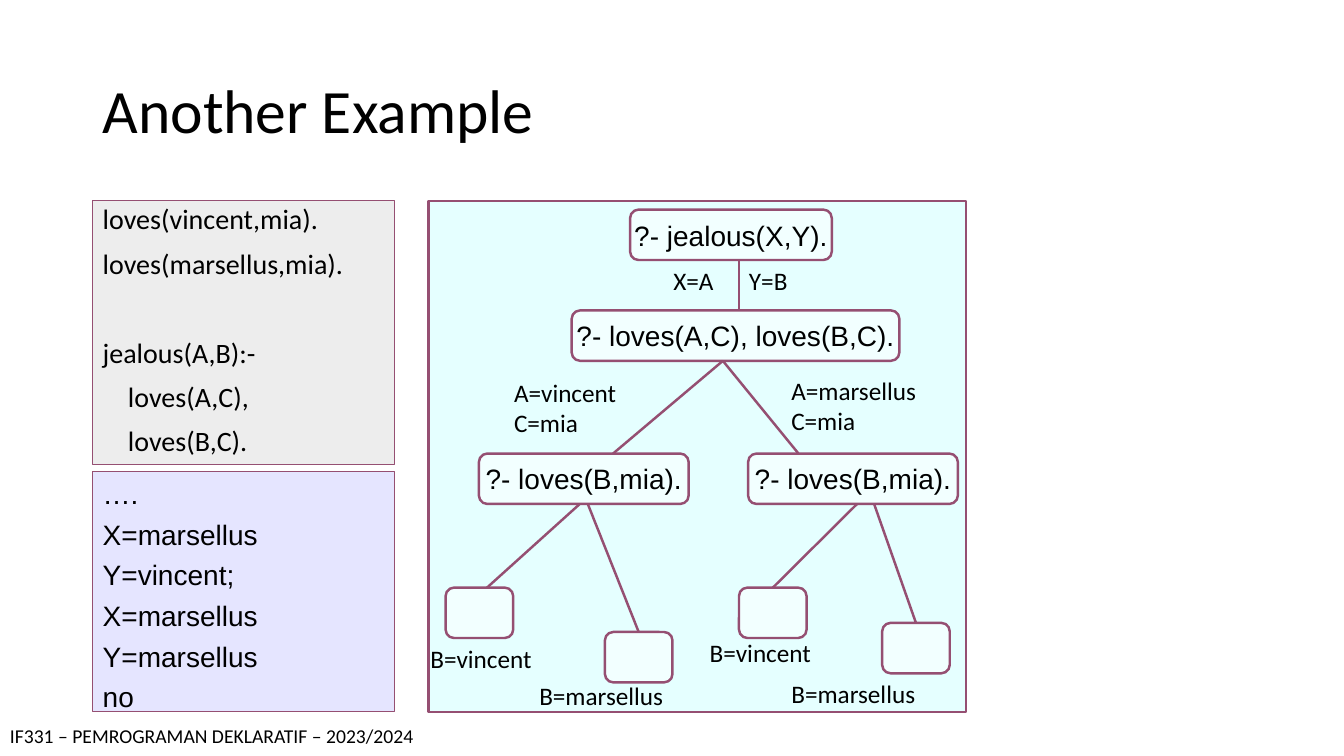
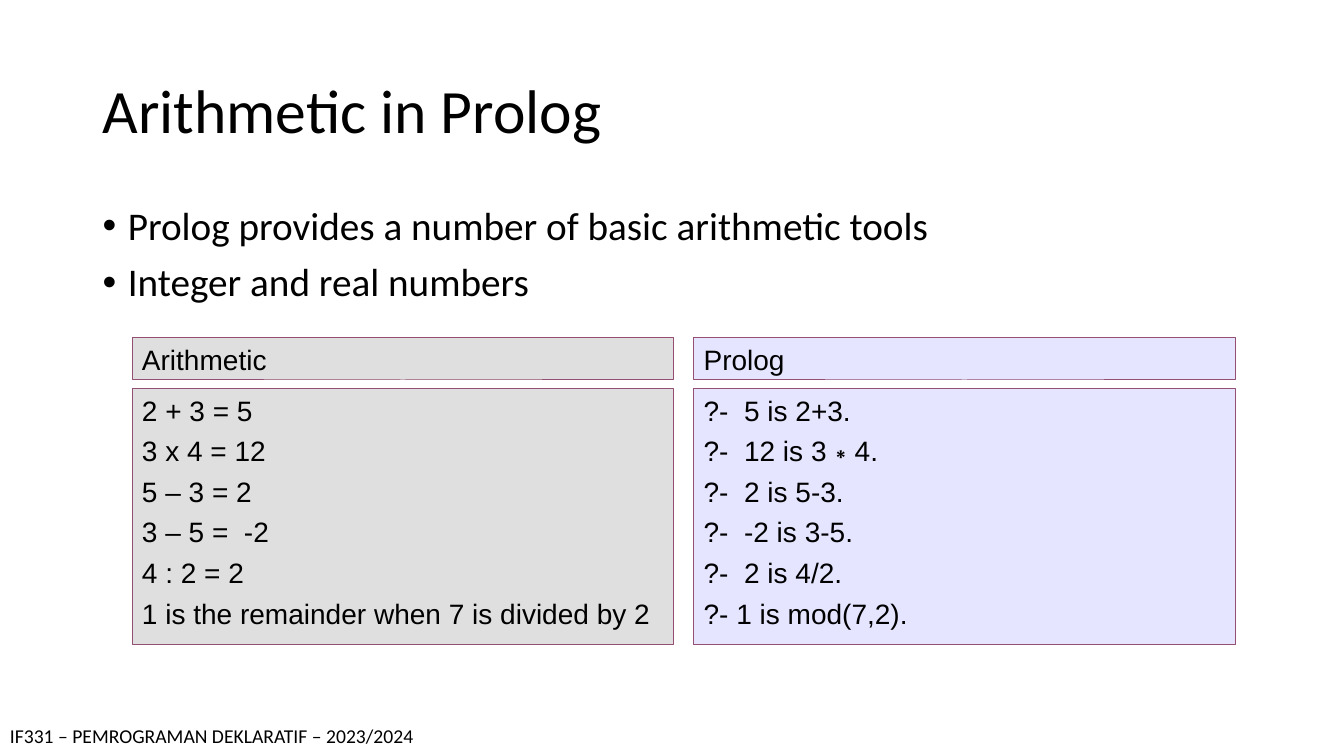
from dataclasses import dataclass
from typing import Optional, Sequence

from lxml.etree import SubElement
from pptx import Presentation
from pptx.dml.color import RGBColor
from pptx.enum.shapes import MSO_CONNECTOR, MSO_SHAPE
from pptx.enum.text import MSO_ANCHOR, PP_ALIGN
from pptx.oxml.ns import qn
from pptx.util import Inches, Pt

# Shared look
BLACK, WHITE = "000000", "FFFFFF"
PLUM, LIGHT_GREY, GREY = "954F72", "DDDDDD", "C0C0C0"
LAVENDER, AQUA = "CCCCFF", "CCFFFF"
FOOTER = "IF331 – PEMROGRAMAN DEKLARATIF – 2023/2024"
BOX_LINE, PANEL_LINE, TREE_LINE = 0.75, 1.5, 1.75
LEFT = 0.92


@dataclass(frozen=True)
class TextStyle:
    font: str
    size: float
    line_spacing: Optional[float] = None
    space_before: float = 0
    hanging: float = 0
    bullet: str = ""
    align: PP_ALIGN = PP_ALIGN.LEFT
    anchor: MSO_ANCHOR = MSO_ANCHOR.TOP
    wrap: bool = True


TITLE = TextStyle("Calibri", 44, line_spacing=0.9, anchor=MSO_ANCHOR.MIDDLE)
BODY = TextStyle("Calibri", 28, line_spacing=0.9, space_before=10, hanging=0.25, bullet="•")
CODE = TextStyle("Calibri", 20, line_spacing=0.9, space_before=10, hanging=0.25)
LISTING = TextStyle("Arial", 20, space_before=5, hanging=0.38)
NODE = TextStyle("Arial", 20, align=PP_ALIGN.CENTER, anchor=MSO_ANCHOR.MIDDLE, wrap=False)
LABEL = TextStyle("Calibri", 18)
FOOTER_TEXT = TextStyle("Calibri", 14)


@dataclass(frozen=True)
class Box:
    left: float
    top: float
    width: float
    height: float

    def lengths(self):
        return [Inches(value) for value in (self.left, self.top, self.width, self.height)]


@dataclass(frozen=True)
class Node:
    box: Box
    goal: str = ""


@dataclass(frozen=True)
class Branch:
    start: tuple[float, float]
    end: tuple[float, float]
    leaf: str = ""  # node whose top centre the branch joins


@dataclass(frozen=True)
class Label:
    box: Box
    lines: tuple[str, ...]


@dataclass(frozen=True)
class Column:
    heading: str
    color: str
    lines: tuple[str, ...]


def rgb(color: str) -> RGBColor:
    return RGBColor.from_string(color)


def write_lines(shape, lines: Sequence[str], style: TextStyle) -> None:
    frame = shape.text_frame
    frame.word_wrap = style.wrap
    frame.vertical_anchor = style.anchor
    for index, line in enumerate(lines):
        paragraph = frame.add_paragraph() if index else frame.paragraphs[0]
        properties = paragraph._p.get_or_add_pPr()
        if style.hanging:
            properties.set("marL", str(Inches(style.hanging)))
            properties.set("indent", str(-Inches(style.hanging)))
        if style.bullet:
            SubElement(properties, qn("a:buFont"), typeface="Arial")
            SubElement(properties, qn("a:buChar"), char=style.bullet)
        paragraph.alignment = style.align
        if style.line_spacing:
            paragraph.line_spacing = style.line_spacing
        if index and style.space_before:
            paragraph.space_before = Pt(style.space_before)
        run = paragraph.add_run()
        run.text = line
        run.font.name = style.font
        run.font.size = Pt(style.size)
        run.font.color.rgb = rgb(BLACK)


def add_text(slide, box: Box, lines: Sequence[str], style: TextStyle):
    shape = slide.shapes.add_textbox(*box.lengths())
    write_lines(shape, lines, style)
    return shape


def add_panel(slide, box: Box, color: str, line_width: float,
              lines: Sequence[str] = (), style: TextStyle = LISTING,
              preset: MSO_SHAPE = MSO_SHAPE.RECTANGLE):
    """Half-transparent outlined shape with optional text."""
    shape = slide.shapes.add_shape(preset, *box.lengths())
    shape.shadow.inherit = False
    shape.fill.solid()
    shape.fill.fore_color.rgb = rgb(color)
    fill_color = shape.fill._xPr.find(qn("a:solidFill"))[0]
    SubElement(fill_color, qn("a:alpha"), val="50000")
    shape.line.color.rgb = rgb(PLUM)
    shape.line.width = Pt(line_width)
    write_lines(shape, lines, style)
    return shape


def add_branch(slide, branch: Branch, nodes: dict) -> None:
    points = [Inches(value) for value in branch.start + branch.end]
    connector = slide.shapes.add_connector(MSO_CONNECTOR.STRAIGHT, *points)
    connector.line.color.rgb = rgb(PLUM)
    connector.line.width = Pt(TREE_LINE)
    SubElement(connector._element.spPr, qn("a:effectLst"))
    if branch.leaf:
        connector.end_connect(nodes[branch.leaf], 0)


def add_base_slide(presentation, title: str):
    slide = presentation.slides.add_slide(presentation.slide_layouts[6])
    add_text(slide, Box(LEFT, 0.4, 11.5, 1.45), [title], TITLE)
    add_text(slide, Box(0, 7.13, 13.33, 0.34), [FOOTER], FOOTER_TEXT)
    return slide


# Search tree content
FACTS = ("loves(vincent,mia).", "loves(marsellus,mia).",
         "jealous(A,B):-", "    loves(A,C),", "    loves(B,C).")
RULE_START = 2
ANSWERS = ("….", "X=marsellus", "Y=vincent;", "X=marsellus", "Y=marsellus", "no")


def leaf_node(left: float, top: float) -> Node:
    return Node(Box(left, top, 0.67, 0.5))


NODES = {
    "query": Node(Box(6.25, 2.08, 2, 0.5), "?- jealous(X,Y)."),
    "body": Node(Box(5.67, 3.08, 3.25, 0.5), "?- loves(A,C), loves(B,C)."),
    "vincent": Node(Box(4.75, 4.5, 2.08, 0.5), "?- loves(B,mia)."),
    "marsellus": Node(Box(7.42, 4.5, 2.08, 0.5), "?- loves(B,mia)."),
    "leaf 1": leaf_node(4.42, 5.83),
    "leaf 2": leaf_node(6, 6.27),
    "leaf 3": leaf_node(7.33, 5.83),
    "leaf 4": leaf_node(8.75, 6.18),
}
BRANCHES = (
    Branch((7.33, 2.58), (7.33, 3.08)),
    Branch((7.17, 3.58), (6.08, 4.5)),
    Branch((7.17, 3.58), (7.92, 4.5)),
    Branch((5.75, 5), (4.83, 5.83)),
    Branch((5.83, 5), (6.33, 6.27), "leaf 2"),
    Branch((8.5, 5), (7.67, 5.83), "leaf 3"),
    Branch((8.67, 5), (9.08, 6.18), "leaf 4"),
)
LABELS = (
    Label(Box(6.58, 2.58, 0.67, 0.4), ("X=A",)),
    Label(Box(7.33, 2.58, 0.67, 0.4), ("Y=B",)),
    Label(Box(5, 3.69, 1.56, 0.76), ("A=vincent", "C=mia")),
    Label(Box(7.75, 3.67, 1.86, 0.76), ("A=marsellus", "C=mia")),
    Label(Box(4.17, 6.33, 1.56, 0.4), ("B=vincent",)),
    Label(Box(6.94, 6.27, 1.56, 0.4), ("B=vincent",)),
    Label(Box(5.25, 6.7, 1.92, 0.4), ("B=marsellus",)),
    Label(Box(7.75, 6.68, 1.92, 0.4), ("B=marsellus",)),
)

# Arithmetic content
COLUMNS = (
    Column("Arithmetic", GREY, (
        "2 + 3 = 5", "3 x 4 = 12", "5 – 3 = 2", "3 – 5 =  -2", "4 : 2 = 2",
        "1 is the remainder when 7 is divided by 2")),
    Column("Prolog", LAVENDER, (
        "?-  5 is 2+3.", "?-  12 is 3∗4.", "?-  2 is 5-3.", "?-  -2 is 3-5.",
        "?-  2 is 4/2.", "?- 1 is mod(7,2).")),
)


def build_search_tree(presentation) -> None:
    slide = add_base_slide(presentation, "Another Example")

    # Program and its answers
    program = add_panel(slide, Box(LEFT, 1.99, 2.99, 2.62), LIGHT_GREY, BOX_LINE, FACTS, CODE)
    program.text_frame.paragraphs[RULE_START].space_before = Pt(42)
    add_panel(slide, Box(LEFT, 4.68, 2.99, 2.38), LAVENDER, BOX_LINE, ANSWERS)

    # Tree
    add_panel(slide, Box(4.25, 1.99, 5.33, 5.07), AQUA, PANEL_LINE)
    nodes = {}
    for name, node in NODES.items():
        goals = [node.goal] if node.goal else []
        nodes[name] = add_panel(slide, node.box, WHITE, TREE_LINE, goals, NODE,
                                MSO_SHAPE.FLOWCHART_ALTERNATE_PROCESS)
    for branch in BRANCHES:
        add_branch(slide, branch, nodes)
    for label in LABELS:
        add_text(slide, label.box, label.lines, LABEL)


def build_arithmetic(presentation) -> None:
    slide = add_base_slide(presentation, "Arithmetic in Prolog")
    add_text(slide, Box(LEFT, 2, 11.5, 1.3),
             ["Prolog provides a number of basic arithmetic tools",
              "Integer and real numbers"], BODY)

    # Heading and listing for each column
    width, gap = 5.37, 0.2
    for index, column in enumerate(COLUMNS):
        left = 1.31 + index * (width + gap)
        add_panel(slide, Box(left, 3.85, width, 2.54), column.color, BOX_LINE, column.lines)
        add_panel(slide, Box(left, 3.35, width, 0.42), column.color, BOX_LINE, [column.heading])


def main() -> None:
    presentation = Presentation()
    presentation.slide_width = Inches(13.33)
    presentation.slide_height = Inches(7.5)
    build_search_tree(presentation)
    build_arithmetic(presentation)
    presentation.save("out.pptx")


if __name__ == "__main__":
    main()
